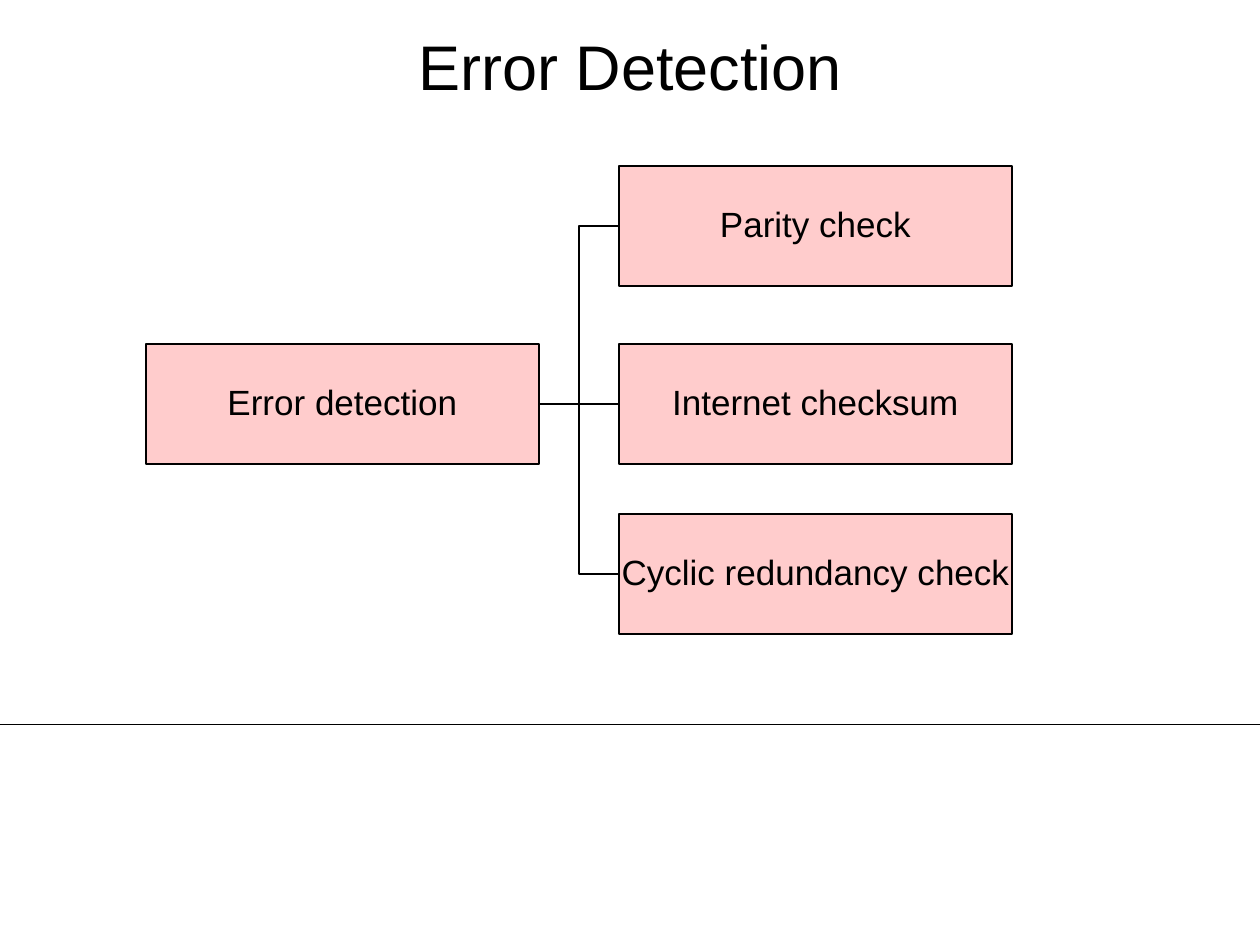
from lxml import etree
from pptx import Presentation
from pptx.dml.color import RGBColor
from pptx.enum.shapes import MSO_CONNECTOR, MSO_SHAPE
from pptx.enum.text import MSO_ANCHOR, PP_ALIGN
from pptx.oxml.ns import qn
from pptx.util import Inches, Pt

# Content
TITLE = "Error Detection"
ROOT = ("Error detection", 344, 1.5)  # text, top, border width
METHODS = [
    ("Parity check", 166, 1.5),
    ("Internet checksum", 344, 1),
    ("Cyclic redundancy check", 514, 1),
]

# Layout in px
PX_PER_INCH = 126
SLIDE_WIDTH, SLIDE_HEIGHT = 1260, 945
TITLE_BOX = (53, 21, 1155, 98)
BOX_WIDTH, BOX_HEIGHT = 393, 120
ROOT_LEFT, METHOD_LEFT = 146, 619
RULE_TOP = 724
BOX_INSET = 1
LEFT_SITE, RIGHT_SITE = 1, 3

COLORS = {"ink": "000000", "box": "FFCCCC"}
FONT = "Arial"


def px(length):
    return Inches(length / PX_PER_INCH)


def color(name):
    return RGBColor.from_string(COLORS[name])


def set_text(shape, text, size):
    frame = shape.text_frame
    frame.text = text
    frame.word_wrap = True
    frame.vertical_anchor = MSO_ANCHOR.MIDDLE
    paragraph = frame.paragraphs[0]
    paragraph.alignment = PP_ALIGN.CENTER
    paragraph.line_spacing = 0.9
    paragraph.font.name = FONT
    paragraph.font.size = Pt(size)
    paragraph.font.color.rgb = color("ink")


def add_box(slide, left, text, top, border):
    box = slide.shapes.add_shape(
        MSO_SHAPE.RECTANGLE, px(left), px(top), px(BOX_WIDTH), px(BOX_HEIGHT))
    box.shadow.inherit = False
    box.fill.solid()
    box.fill.fore_color.rgb = color("box")
    box.line.color.rgb = color("ink")
    box.line.width = Pt(border)
    set_text(box, text, 20)
    frame = box.text_frame
    frame.margin_left = frame.margin_right = px(BOX_INSET)
    frame.margin_top = frame.margin_bottom = px(BOX_INSET)
    return box


def add_line(slide, kind, start, end, width):
    line = slide.shapes.add_connector(kind, *map(px, start + end))
    line.line.color.rgb = color("ink")
    line.line.width = Pt(width)
    etree.SubElement(line._element.spPr, qn("a:effectLst"))
    return line


def main():
    presentation = Presentation()
    presentation.slide_width = px(SLIDE_WIDTH)
    presentation.slide_height = px(SLIDE_HEIGHT)
    slide = presentation.slides.add_slide(presentation.slide_layouts[5])

    # Rule across the slide
    add_line(slide, MSO_CONNECTOR.STRAIGHT,
             (0, RULE_TOP), (SLIDE_WIDTH, RULE_TOP), 0.5)

    # Title
    title = slide.shapes.title
    title.left, title.top, title.width, title.height = map(px, TITLE_BOX)
    set_text(title, TITLE, 36)

    # Tree: the root box joined to each method
    root = add_box(slide, ROOT_LEFT, *ROOT)
    start = (ROOT_LEFT + BOX_WIDTH, ROOT[1] + BOX_HEIGHT // 2)
    for text, top, border in METHODS:
        method = add_box(slide, METHOD_LEFT, text, top, border)
        end = (METHOD_LEFT, top + BOX_HEIGHT // 2)
        level = start[1] == end[1]
        kind = MSO_CONNECTOR.STRAIGHT if level else MSO_CONNECTOR.ELBOW
        branch = add_line(slide, kind, start, end, 1)
        branch.begin_connect(root, RIGHT_SITE)
        branch.end_connect(method, LEFT_SITE)

    presentation.save("out.pptx")


if __name__ == "__main__":
    main()
